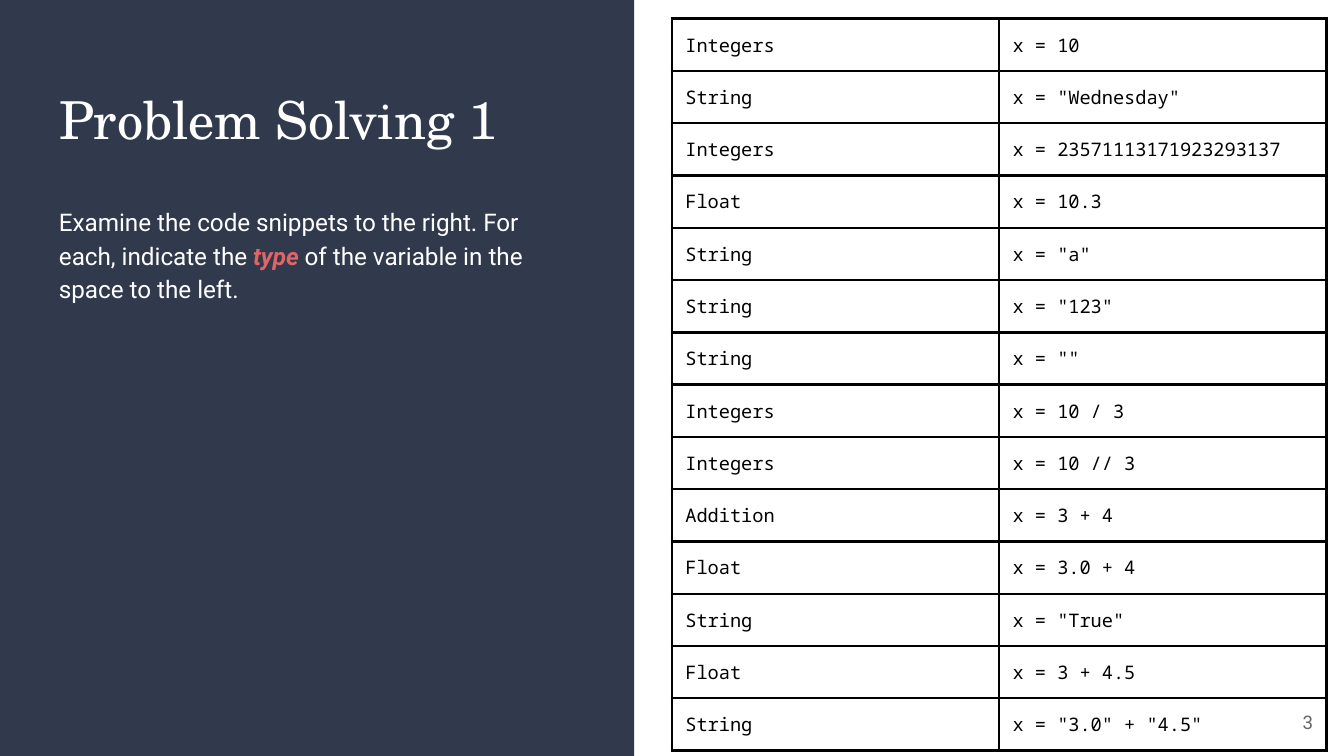
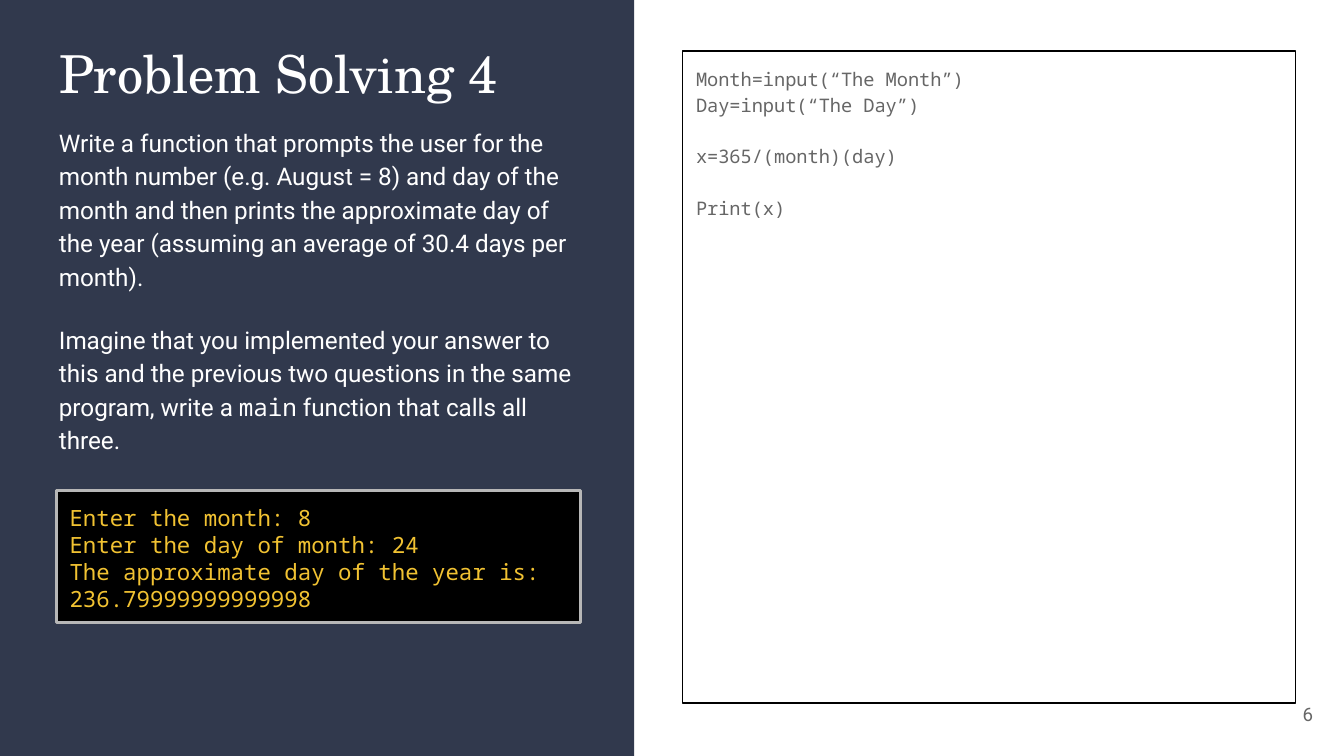
from lxml.etree import SubElement
from pptx import Presentation
from pptx.dml.color import RGBColor
from pptx.enum.shapes import MSO_SHAPE
from pptx.enum.text import MSO_ANCHOR, MSO_AUTO_SIZE, PP_ALIGN
from pptx.oxml.ns import qn
from pptx.util import Pt

COLORS = {
    "navy": "31394D",
    "white": "FFFFFF",
    "black": "000000",
    "gray": "666666",
    "silver": "B7B7B7",
    "red": "E06666",
    "gold": "F1C232",
}
SERIF, SANS, MONO = "TeX Gyre Schola", "Roboto", "Noto Sans Mono"
INSET = Pt(7.2)
LEFT, COLUMN_W = Pt(24.5), Pt(291.6)


def rgb(name):
    return RGBColor.from_string(COLORS[name])


def write(tf, paragraphs, size, font, color, spacing=1.0):
    """Fill a text frame; each paragraph is a list of run texts in one style."""
    tf.word_wrap = True
    tf.auto_size = MSO_AUTO_SIZE.NONE
    tf.vertical_anchor = MSO_ANCHOR.TOP
    tf.margin_left = tf.margin_right = tf.margin_top = tf.margin_bottom = INSET
    for i, texts in enumerate(paragraphs):
        p = tf.add_paragraph() if i else tf.paragraphs[0]
        p.alignment = PP_ALIGN.LEFT
        p.line_spacing = spacing
        for text in texts:
            r = p.add_run()
            r.text = text
            r.font.size = Pt(size)
            r.font.name = font
            r.font.color.rgb = rgb(color)


prs = Presentation()
prs.slide_width, prs.slide_height = Pt(720), Pt(405)

# Shared frame: navy panel, title and page number
slides = []
for title, title_top, number, number_top in [
    ("Problem Solving 1", 39.6, "3", 371.5),
    ("Problem Solving 4", 15.1, "6", 367.2),
]:
    s = prs.slides.add_slide(prs.slide_layouts[5])
    slides.append(s)

    panel = s.shapes.add_shape(MSO_SHAPE.RECTANGLE, 0, 0, Pt(339.8), prs.slide_height)
    panel.shadow.inherit = False
    panel.fill.solid()
    panel.fill.fore_color.rgb = rgb("navy")
    panel.line.fill.background()
    s.shapes._spTree.insert(2, panel._element)  # behind the title

    heading = s.shapes.title
    heading.left, heading.top = LEFT, Pt(title_top)
    heading.width, heading.height = COLUMN_W, Pt(50.4)
    write(heading.text_frame, [[title]], 28, SERIF, "white")

    page = s.shapes.add_textbox(Pt(667.4), Pt(number_top), Pt(43.2), Pt(31))
    write(page.text_frame, [[number]], 10, SANS, "gray")
    page.text_frame.vertical_anchor = MSO_ANCHOR.MIDDLE
    page.text_frame.paragraphs[0].alignment = PP_ALIGN.RIGHT

types_slide, function_slide = slides

# Variable types
task = types_slide.shapes.add_textbox(LEFT, Pt(101.5), COLUMN_W, Pt(212.4))
write(task.text_frame, [[
    "Examine the code snippets to the right. For each, indicate the ",
    "type ",
    "of the variable in the space to the left.",
]], 13, SANS, "white", 1.15)
keyword = task.text_frame.paragraphs[0].runs[1].font
keyword.bold = keyword.italic = True
keyword.color.rgb = rgb("red")

snippets = [
    ("Integers", "x = 10"),
    ("String", 'x = "Wednesday"'),
    ("Integers", "x = 23571113171923293137"),
    ("Float", "x = 10.3"),
    ("String", 'x = "a"'),
    ("String", 'x = "123"'),
    ("String", 'x = ""'),
    ("Integers", "x = 10 / 3"),
    ("Integers", "x = 10 // 3"),
    ("Addition", "x = 3 + 4"),
    ("Float", "x = 3.0 + 4"),
    ("String", 'x = "True"'),
    ("Float", "x = 3 + 4.5"),
    ("String", 'x = "3.0" + "4.5"'),
]
table = types_slide.shapes.add_table(
    len(snippets), 2, Pt(360), Pt(10), Pt(350.6), Pt(26.4 * len(snippets))).table
table.first_row = table.horz_banding = False
for row, texts in enumerate(snippets):
    for col, text in enumerate(texts):
        cell = table.cell(row, col)
        cell.margin_left = cell.margin_right = INSET
        cell.margin_top = cell.margin_bottom = INSET
        cell.text = text
        font = cell.text_frame.paragraphs[0].runs[0].font
        font.size, font.name = Pt(10), MONO
        font.color.rgb = rgb("black")
        tc_pr = cell._tc.get_or_add_tcPr()
        for side in ("a:lnL", "a:lnR", "a:lnT", "a:lnB"):
            ln = SubElement(tc_pr, qn(side), w=str(Pt(1.5)))
            fill = SubElement(ln, qn("a:solidFill"))
            SubElement(fill, qn("a:srgbClr"), val=COLORS["black"])
        cell.fill.background()

# Day of the year
code = function_slide.shapes.add_shape(
    MSO_SHAPE.RECTANGLE, Pt(365.8), Pt(27.4), Pt(328.3), Pt(349.2))
code.shadow.inherit = False
code.fill.background()
code.line.color.rgb = rgb("black")
code.line.width = Pt(0.75)
write(code.text_frame, [
    ["Month=input(“The Month”)"],
    ["Day=input(“The Day”)"],
    ["x=365/(month)(day)"],
    ["Print(x)"],
], 10, MONO, "gray", 1.15)
for p in code.text_frame.paragraphs[2:]:
    p.space_before = Pt(13.8)

task = function_slide.shapes.add_textbox(LEFT, Pt(59), COLUMN_W, Pt(185.8))
write(task.text_frame, [
    ["Write a function that prompts the user for the month number (e.g. August = 8) "
     "and day of the month and then prints the approximate day of the year "
     "(assuming an average of 30.4 days per month)."],
    ["Imagine that you implemented your answer to this and the previous two questions "
     "in the same program, write a ",
     "main",
     " function that calls all three."],
], 13, SANS, "white", 1.15)
p = task.text_frame.paragraphs[1]
p.space_before = p.space_after = Pt(16)
p.runs[1].font.name = MONO

console = function_slide.shapes.add_shape(
    MSO_SHAPE.RECTANGLE, Pt(30.2), Pt(262.8), Pt(280.8), Pt(70.6))
console.shadow.inherit = False
console.fill.solid()
console.fill.fore_color.rgb = rgb("black")
console.line.color.rgb = rgb("silver")
console.line.width = Pt(1.5)
write(console.text_frame, [
    ["Enter the month: 8"],
    ["Enter the day of month: 24"],
    ["The approximate day of the year is: 236.79999999999998"],
], 12, MONO, "gold")

prs.save("out.pptx")
